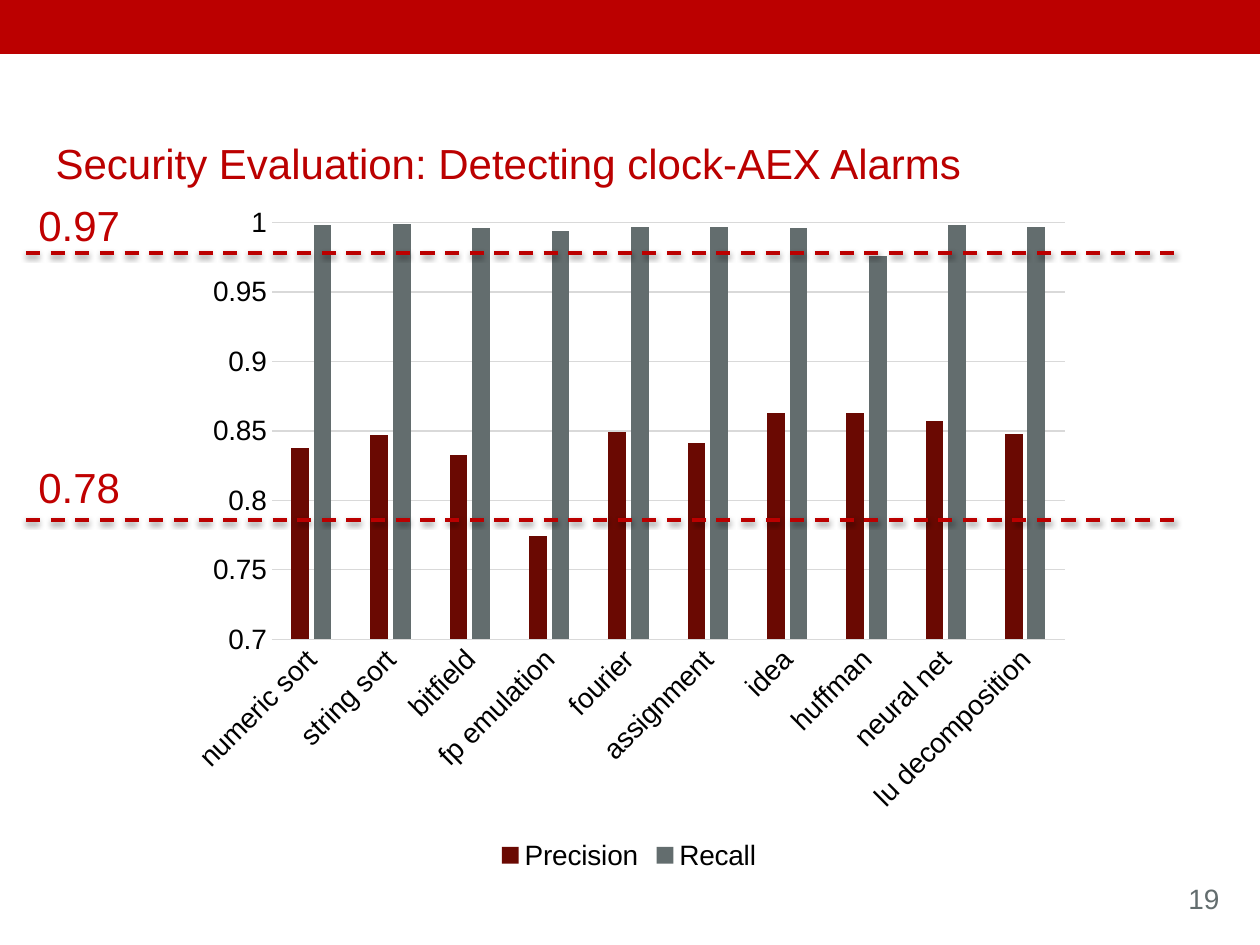
from dataclasses import dataclass

from lxml.etree import SubElement
from pptx import Presentation
from pptx.chart.data import CategoryChartData
from pptx.dml.color import RGBColor
from pptx.enum.chart import XL_CHART_TYPE as ChartType
from pptx.enum.chart import XL_LEGEND_POSITION as LegendPosition
from pptx.enum.chart import XL_TICK_MARK as TickMark
from pptx.enum.dml import MSO_LINE_DASH_STYLE as Dash
from pptx.enum.shapes import MSO_CONNECTOR as Connector
from pptx.enum.shapes import MSO_SHAPE as Shape
from pptx.enum.text import MSO_ANCHOR as Anchor
from pptx.enum.text import PP_ALIGN as Align
from pptx.oxml.ns import qn
from pptx.util import Emu, Pt

PX_PER_INCH = 126
SLIDE_SIZE = (1260, 945)


@dataclass(frozen=True)
class Theme:
    font: str = "Arial"
    red: str = "BB0000"
    label_red: str = "C00000"
    dark_red: str = "6A0902"
    gray: str = "636D6E"
    grid: str = "D9D9D9"
    black: str = "000000"
    heading_size: int = 24
    small_size: int = 16


THEME = Theme()

BENCHMARKS = [
    "numeric sort", "string sort", "bitfield", "fp emulation", "fourier",
    "assignment", "idea", "huffman", "neural net", "lu decomposition",
]
SERIES = [
    ("Precision", THEME.dark_red,
     [0.838, 0.847, 0.833, 0.774, 0.849, 0.841, 0.863, 0.863, 0.857, 0.848]),
    ("Recall", THEME.gray,
     [0.998, 0.999, 0.996, 0.994, 0.997, 0.997, 0.996, 0.976, 0.998, 0.997]),
]
THRESHOLDS = [("0.97", 194, 253), ("0.78", 456, 520)]


def px(*lengths):
    return [Emu(round(length * 914400 / PX_PER_INCH)) for length in lengths]


def rgb(color):
    return RGBColor.from_string(color)


def style_font(font, size, color):
    font.name = THEME.font
    font.size = Pt(size)
    font.bold = False
    font.color.rgb = rgb(color)


def write_text(box, text, size=THEME.heading_size, color=THEME.red,
               align=Align.LEFT, wrap=True, top=6):
    frame = box.text_frame
    frame.word_wrap = wrap
    frame.vertical_anchor = Anchor.TOP
    frame.margin_top = px(top)[0]
    para = frame.paragraphs[0]
    para.alignment = align
    span = para.add_run()
    span.text = text
    style_font(span.font, size, color)


def add_title(page, text):
    box = page.shapes.title
    box.left, box.top, box.width, box.height = px(43, 126, 1134, 50)
    write_text(box, text, top=11)


def add_band(page):
    band = page.shapes.add_shape(Shape.RECTANGLE, *px(0, 0, 1260, 54))
    band.shadow.inherit = False
    band.fill.solid()
    band.fill.fore_color.rgb = rgb(THEME.red)
    band.line.fill.background()


def add_label(page, place, text, **text_format):
    write_text(page.shapes.add_textbox(*px(*place)), text, **text_format)


def add_shadow(line):
    effects = SubElement(line._element.spPr, qn("a:effectLst"))
    shadow = SubElement(effects, qn("a:outerShdw"), blurRad=str(Pt(3.1)),
                        dist=str(Pt(1.6)), dir="5400000", rotWithShape="0")
    color = SubElement(shadow, qn("a:srgbClr"), val=THEME.black)
    SubElement(color, qn("a:alpha"), val="38000")


def add_threshold(page, text, label_top, line_y):
    line = page.shapes.add_connector(
        Connector.STRAIGHT, *px(26, line_y, 1177, line_y))
    line.line.color.rgb = rgb(THEME.red)
    line.line.width = Pt(2)
    line.line.dash_style = Dash.DASH
    add_shadow(line)
    add_label(page, (26, label_top, 108, 63), text, color=THEME.label_red)


def style_axis(axis):
    axis.major_tick_mark = TickMark.NONE
    axis.minor_tick_mark = TickMark.NONE
    style_font(axis.tick_labels.font, THEME.small_size, THEME.black)


def style_line(line):
    line.color.rgb = rgb(THEME.grid)
    line.width = Pt(0.75)


def add_score_chart(page):
    scores = CategoryChartData()
    scores.categories = BENCHMARKS
    for name, _, values in SERIES:
        scores.add_series(name, values)
    chart = page.shapes.add_chart(
        ChartType.COLUMN_CLUSTERED, *px(175, 194, 908, 682), scores).chart
    style_font(chart.font, THEME.small_size, THEME.black)
    chart.has_title = False
    chart.has_legend = True
    chart.legend.position = LegendPosition.BOTTOM
    chart.legend.include_in_layout = False
    style_font(chart.legend.font, THEME.small_size, THEME.black)

    plot = chart.plots[0]
    plot.vary_by_categories = False
    plot.gap_width = 219
    plot.overlap = -27
    for series, (_, color, _) in zip(plot.series, SERIES):
        series.format.fill.solid()
        series.format.fill.fore_color.rgb = rgb(color)

    category_axis, value_axis = chart.category_axis, chart.value_axis
    style_axis(category_axis)
    style_line(category_axis.format.line)
    label_body = category_axis._element.find(qn("c:txPr")).find(qn("a:bodyPr"))
    label_body.set("rot", "-2700000")

    style_axis(value_axis)
    value_axis.minimum_scale = 0.7
    value_axis.maximum_scale = 1
    value_axis.major_unit = 0.05
    value_axis.tick_labels.number_format = "General"
    value_axis.tick_labels.number_format_is_linked = False
    value_axis.format.line.fill.background()
    style_line(value_axis.major_gridlines.format.line)


def main():
    deck = Presentation()
    deck.slide_width, deck.slide_height = px(*SLIDE_SIZE)
    page = deck.slides.add_slide(deck.slide_layouts[5])
    add_title(page, "Security Evaluation: Detecting clock-AEX Alarms")
    add_score_chart(page)
    add_band(page)
    for threshold in THRESHOLDS:
        add_threshold(page, *threshold)
    add_label(page, (1174, 876, 60, 47), "19", size=THEME.small_size,
              color=THEME.gray, align=Align.CENTER, wrap=False)
    deck.save("out.pptx")


if __name__ == "__main__":
    main()
